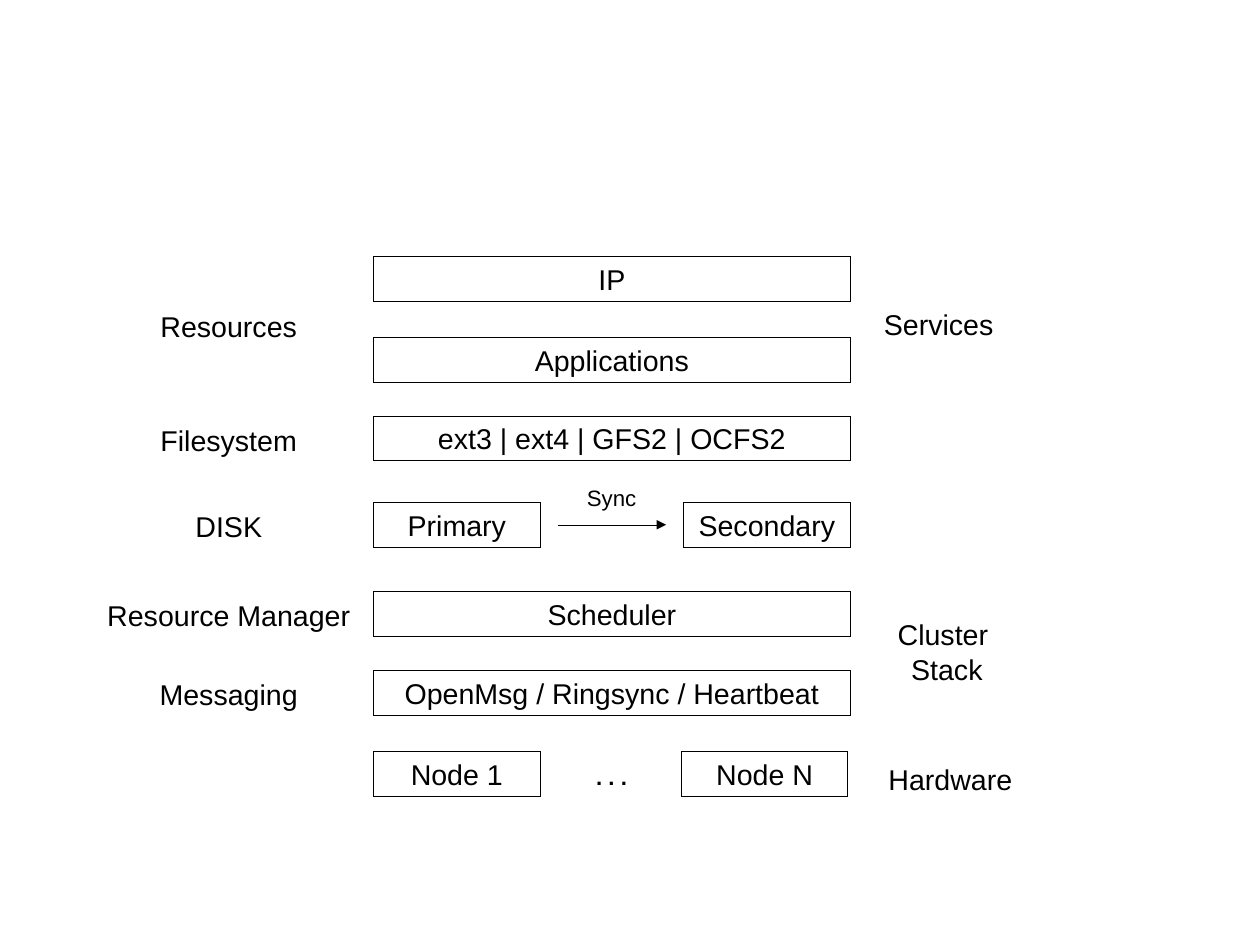
from lxml import etree
from pptx import Presentation
from pptx.dml.color import RGBColor
from pptx.enum.shapes import MSO_CONNECTOR, MSO_SHAPE
from pptx.enum.text import MSO_ANCHOR, MSO_AUTO_SIZE, PP_ALIGN
from pptx.oxml.ns import qn
from pptx.util import Pt

CENTER = PP_ALIGN.CENTER
TOP = MSO_ANCHOR.TOP
MIDDLE = MSO_ANCHOR.MIDDLE
GROW = MSO_AUTO_SIZE.SHAPE_TO_FIT_TEXT
RECTANGLE = MSO_SHAPE.RECTANGLE
STRAIGHT = MSO_CONNECTOR.STRAIGHT

COLORS = {"ink": "000000"}
FONT = "Arial"
LAYER_HEIGHT = 28.3
NODE_WIDTH = 105
LABEL_HEIGHT = 27.2
SMALL_LABEL_HEIGHT = 22.8

TOPS = {"ip": 161.4, "applications": 212.4, "filesystem": 262.1, "replication": 316.4,
        "manager": 372.5, "messaging": 422.3, "hardware": 473.2}
LAYERS = {"ip": "IP", "applications": "Applications",
          "filesystem": "ext3 | ext4 | GFS2 | OCFS2",
          "manager": "Scheduler", "messaging": "OpenMsg / Ringsync / Heartbeat"}
LAYER_LABELS = [("Resources", 191.4, 102), ("Filesystem", 262.6, 102),
                ("DISK", 316.9, 65.5), ("Resource Manager", 373, 169),
                ("Messaging", 422.8, 102)]
GROUP_LABELS = [("Services", 591.3, 189.8, 84, LABEL_HEIGHT),
                ("Cluster \nStack", 596.5, 385.4, 76.3, 47.5),
                ("Hardware", 598.7, 476.2, 92.5, LABEL_HEIGHT)]


def color(name):
    """Return the named colour."""
    return RGBColor.from_string(COLORS[name])


def write(shape, text, size=18, bold=False, anchor=TOP):
    """Put centred, unwrapped text into a shape."""
    frame = shape.text_frame
    frame.word_wrap = False
    frame.vertical_anchor = anchor
    frame.text = text
    for paragraph in frame.paragraphs:
        paragraph.alignment = CENTER
        for run in paragraph.runs:
            run.font.name = FONT
            run.font.size = Pt(size)
            run.font.bold = bold
            run.font.color.rgb = color("ink")


def outline(shape):
    """Give a shape a hairline free of the theme's style."""
    shape._element.remove(shape._element.find(qn("p:style")))
    shape.line.color.rgb = color("ink")
    shape.line.width = Pt(0)


def add_label(slide, text, center, top, width, height=LABEL_HEIGHT, **text_format):
    """Add a label centred on a horizontal position."""
    label = slide.shapes.add_textbox(Pt(center - width / 2), Pt(top), Pt(width), Pt(height))
    write(label, text, **text_format)
    label.text_frame.auto_size = GROW


def add_layer(slide, text, left, top, width):
    """Add one outlined box of the stack."""
    layer = slide.shapes.add_shape(RECTANGLE, Pt(left), Pt(top), Pt(width), Pt(LAYER_HEIGHT))
    layer.shadow.inherit = False
    layer.fill.background()
    outline(layer)
    write(layer, text, anchor=MIDDLE)


def add_arrow(slide, start, end, y):
    """Add a thin horizontal arrow."""
    arrow = slide.shapes.add_connector(STRAIGHT, Pt(start), Pt(y), Pt(end), Pt(y))
    outline(arrow)
    etree.SubElement(arrow.line._get_or_add_ln(), qn("a:tailEnd"), type="triangle")
    etree.SubElement(arrow._element.spPr, qn("a:effectLst"))


def draw_stack(slide, left, width):
    """Draw the layers, the replication pair and the hardware nodes."""
    for layer, text in LAYERS.items():
        add_layer(slide, text, left, TOPS[layer], width)

    right_node = left + width - NODE_WIDTH
    replication, hardware = TOPS["replication"], TOPS["hardware"]
    add_layer(slide, "Primary", left, replication, NODE_WIDTH)
    add_layer(slide, "Secondary", right_node, replication, NODE_WIDTH)
    add_arrow(slide, left + 116, left + 184.3, replication + LAYER_HEIGHT / 2)
    add_label(slide, "Sync", left + 150, replication - 15, 45.4, SMALL_LABEL_HEIGHT, size=14)

    add_layer(slide, "Node 1", left, hardware, NODE_WIDTH)
    add_layer(slide, "Node N", right_node - 1.4, hardware, NODE_WIDTH)
    add_label(slide, ". . .", left + 150, hardware + 4.2, 33.8, SMALL_LABEL_HEIGHT,
              size=14, bold=True)


def draw_layer_labels(slide, center):
    """Name the layers to the left of the stack."""
    for text, top, width in LAYER_LABELS:
        add_label(slide, text, center, top, width)


def draw_group_labels(slide):
    """Name the groups of layers to the right of the stack."""
    for text, center, top, width, height in GROUP_LABELS:
        add_label(slide, text, center, top, width, height)


def main():
    """Build the cluster stack slide."""
    presentation = Presentation()
    presentation.slide_width = Pt(793.7)
    presentation.slide_height = Pt(595.28)
    slide = presentation.slides.add_slide(presentation.slide_layouts[6])
    draw_stack(slide, left=235.3, width=300.3)
    draw_layer_labels(slide, center=144.1)
    draw_group_labels(slide)
    presentation.save("out.pptx")


if __name__ == "__main__":
    main()
